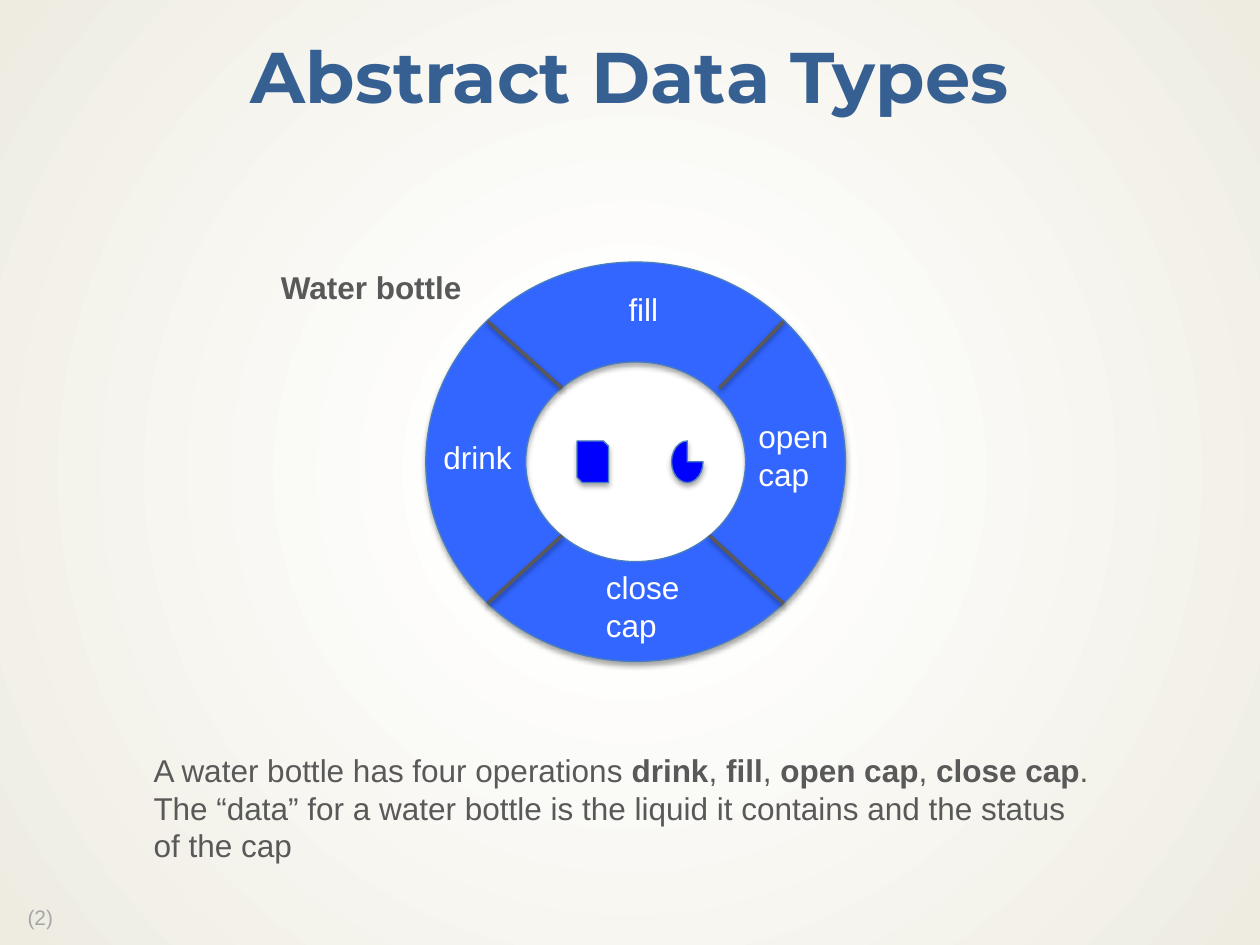
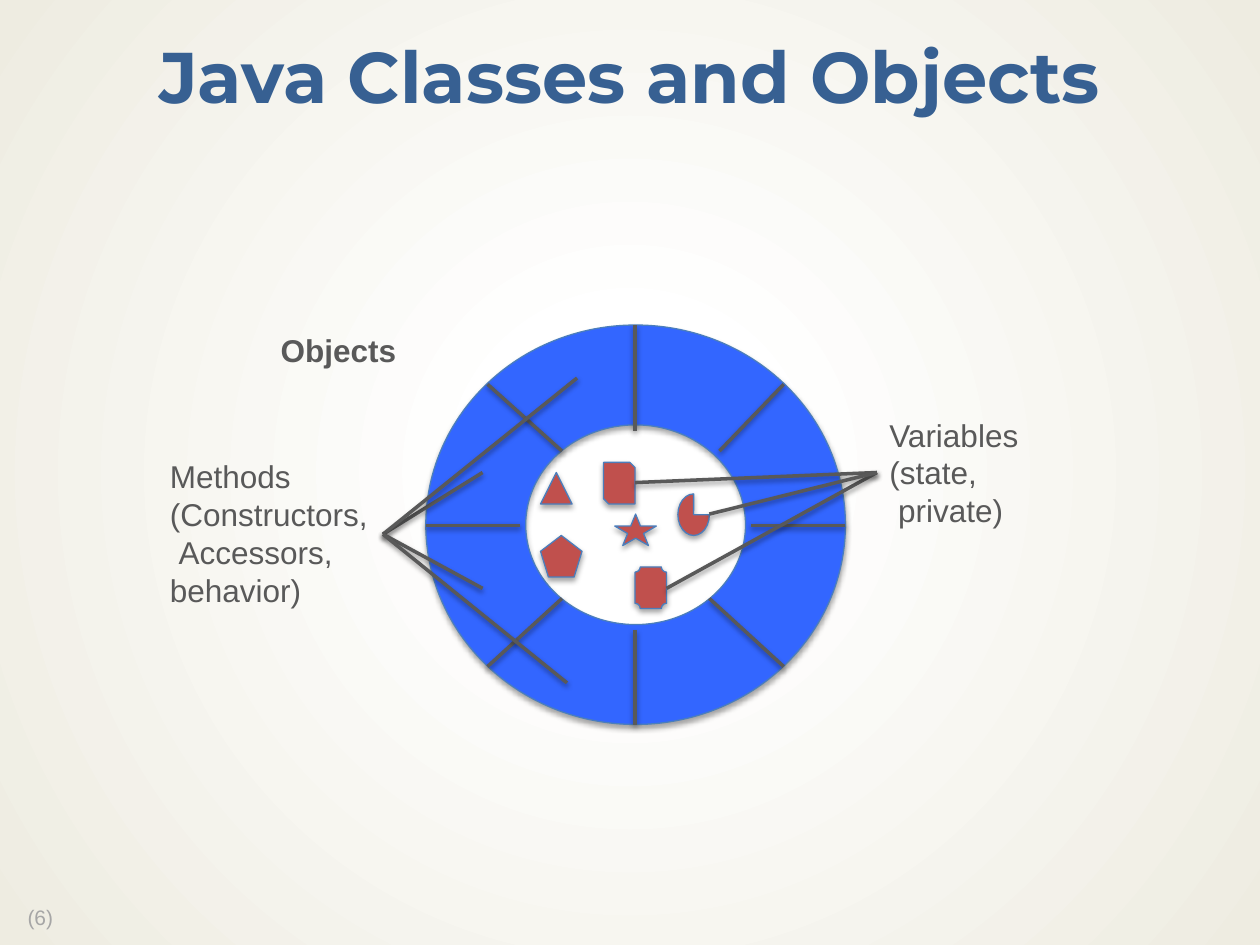
from lxml import etree
from pptx import Presentation
from pptx.dml.color import RGBColor
from pptx.enum.shapes import MSO_CONNECTOR, MSO_SHAPE
from pptx.enum.text import MSO_ANCHOR, MSO_AUTO_SIZE, PP_ALIGN
from pptx.oxml import parse_xml
from pptx.oxml.ns import nsdecls, qn
from pptx.util import Inches, Pt

TITLE, GREY, PALE, WHITE = "376092", "595959", "A6A6A6", "FFFFFF"
RING, EDGE, BLUE, RED = "3366FF", "4B7EBC", "0000FF", "C0504D"
BODY = {"name": "Arial", "size": Pt(18), "bold": False}
SPACE = 0.07

RING_W, RING_H = 3.33, 3.17
DIAGONALS = [
    ((2.84, 0.47), (2.33, 1)),
    ((2.84, 2.71), (2.25, 2.17)),
    ((1.08, 1), (0.49, 0.47)),
    ((1.08, 2.17), (0.49, 2.71)),
]
AXES = [
    ((1.66, 0), (1.66, 0.84)),
    ((RING_W, 1.59), (2.58, 1.59)),
    ((1.66, RING_H), (1.66, 2.42)),
    ((0, 1.59), (0.75, 1.59)),
]
BOTTLE_DATA = [
    (MSO_SHAPE.SNIP_2_DIAG_RECTANGLE, 1.2, 1.42, 0.25, 0.33),
    (MSO_SHAPE.PIE, 1.95, 1.42, 0.25, 0.33),
]
OBJECT_DATA = [
    (MSO_SHAPE.ISOSCELES_TRIANGLE, 0.91, 1.17, 0.25, 0.25),
    (MSO_SHAPE.REGULAR_PENTAGON, 0.91, 1.67, 0.33, 0.33),
    (MSO_SHAPE.SNIP_2_DIAG_RECTANGLE, 1.41, 1.09, 0.25, 0.33),
    (MSO_SHAPE.PIE, 2, 1.34, 0.25, 0.33),
    (MSO_SHAPE.PLAQUE, 1.66, 1.92, 0.25, 0.33),
    (MSO_SHAPE.STAR_5_POINT, 1.5, 1.5, 0.33, 0.25),
]
OPERATIONS = [
    (["drink"], 0.04, 1.35, 0.75),
    (["fill"], 1.51, 0.17, 0.44),
    (["open", "cap"], 2.54, 1.18, 0.76),
    (["close", "cap"], 1.33, 2.38, 0.79),
]
METHOD_ENDS = [(0.45, 1.17), (1.2, 0.42), (0.45, 2.09), (1.12, 2.84)]
VARIABLE_ENDS = [(1.66, 1.25), (1.91, 2.09), (2.25, 1.5)]


def rgb(value):
    """Turn a hex string into a colour."""
    return RGBColor.from_string(value)


def style(target, values):
    """Set each attribute of target named in values."""
    for name, value in values.items():
        setattr(target, name, value)


def add_shadow(sp, blur, dist, alpha):
    """Give a shape or connector a soft shadow straight below."""
    effects = etree.SubElement(sp._element.spPr, qn("a:effectLst"))
    effects.append(parse_xml(
        f'<a:outerShdw {nsdecls("a")} blurRad="{Pt(blur)}" dist="{Pt(dist)}" '
        f'dir="5400000" rotWithShape="0"><a:srgbClr val="000000">'
        f'<a:alpha val="{alpha}000"/></a:srgbClr></a:outerShdw>'))


def add_text(s, lines, x, y, w, color=GREY, font=BODY, indents=(), spacing=None):
    """Write lines in a box, with parts between asterisks in bold."""
    height = 0.1 + 0.3 * len(lines)
    tf = s.shapes.add_textbox(Inches(x), Inches(y), Inches(w), Inches(height)).text_frame
    style(tf, {"word_wrap": False, "auto_size": MSO_AUTO_SIZE.SHAPE_TO_FIT_TEXT})
    for i, line in enumerate(lines):
        p = tf.add_paragraph() if i else tf.paragraphs[0]
        if i in indents:
            p._p.get_or_add_pPr().set("marL", str(Inches(SPACE)))
        if spacing:
            p.line_spacing = spacing
        for j, part in enumerate(line.split("*")):
            if part:
                r = p.add_run()
                r.text = part
                style(r.font, {**font, "bold": j % 2 == 1})
                r.font.color.rgb = rgb(color)


def add_shape(s, kind, x, y, w, h, fill):
    """Draw a filled, outlined and shadowed preset shape."""
    sp = s.shapes.add_shape(kind, Inches(x), Inches(y), Inches(w), Inches(h))
    sp.fill.solid()
    sp.fill.fore_color.rgb = rgb(fill)
    sp.line.color.rgb = rgb(EDGE)
    sp.line.width = Pt(0.75)
    add_shadow(sp, 3.1, 1.8, 35)


def add_lines(s, x, y, pairs):
    """Draw grey lines between pairs of points relative to x, y."""
    for (x1, y1), (x2, y2) in pairs:
        c = s.shapes.add_connector(MSO_CONNECTOR.STRAIGHT, Inches(x + x1), Inches(y + y1),
                                   Inches(x + x2), Inches(y + y2))
        c.line.color.rgb = rgb(GREY)
        c.line.width = Pt(2)
        add_shadow(c, 3.1, 1.6, 38)


def add_ring(s, x, y, name, name_w, spokes, data, color):
    """Draw a named ring split by spokes around its data shapes."""
    add_text(s, [f"*{name}*"], x - 1.25, y, name_w)
    add_shape(s, MSO_SHAPE.DONUT, x, y, RING_W, RING_H, RING)
    add_lines(s, x, y, spokes)
    for kind, dx, dy, w, h in data:
        add_shape(s, kind, x + dx, y + dy, w, h, color)


def add_operations(s, x, y):
    """Label the four ring segments of the water bottle."""
    for lines, dx, dy, w in OPERATIONS:
        add_text(s, lines, x + dx, y + dy, w, WHITE)


def add_callout(s, x, y, lines, box, indents, tip, ends):
    """Place a label beside the ring and fan lines from its tip."""
    dx, dy, w = box
    add_text(s, lines, x + dx, y + dy, w, indents=indents)
    add_lines(s, x, y, [(tip, end) for end in ends])


def set_background(master):
    """Give the master a circular gradient from white to cream."""
    fill = master.background.fill
    fill.gradient()
    old = master._element.find(".//" + qn("p:bgPr")).find(qn("a:gradFill"))
    old.getparent().replace(old, parse_xml(
        f'<a:gradFill {nsdecls("a")} rotWithShape="1"><a:gsLst>'
        '<a:gs pos="18000"><a:srgbClr val="FFFFFF"><a:alpha val="53000"/></a:srgbClr></a:gs>'
        '<a:gs pos="100000"><a:srgbClr val="EEECE1"/></a:gs></a:gsLst>'
        '<a:path path="circle"><a:fillToRect l="50000" t="50000" r="50000" b="50000"/>'
        '</a:path></a:gradFill>'))


def new_slide(prs, title, number):
    """Add a slide with its title and number."""
    s = prs.slides.add_slide(prs.slide_layouts[5])
    sp = s.shapes.title
    style(sp, {"left": Inches(0), "top": Inches(0.17), "width": Inches(10),
               "height": Inches(0.94)})
    tf = sp.text_frame
    style(tf, {"text": title, "word_wrap": True, "auto_size": MSO_AUTO_SIZE.NONE,
               "vertical_anchor": MSO_ANCHOR.MIDDLE,
               "margin_left": Inches(0.13), "margin_right": Inches(0.13),
               "margin_top": Inches(0.06), "margin_bottom": Inches(0.06)})
    p = tf.paragraphs[0]
    style(p, {"alignment": PP_ALIGN.CENTER, "line_spacing": 0.9})
    r = p.runs[0]
    style(r.font, {"name": "Montserrat", "size": Pt(41), "bold": True})
    r.font.color.rgb = rgb(TITLE)
    add_text(s, [f"({number})"], 0.12, 7.15, 0.51, PALE, {**BODY, "size": Pt(12)}, spacing=0.9)
    return s


def bottle_slide(prs, x=3.38, y=2.08):
    """Build the slide on the water bottle as a data type."""
    s = new_slide(prs, "Abstract Data Types", 2)
    add_text(s, [
        "A water bottle has four operations *drink*, *fill*, *open cap*, *close cap*.",
        "The “data” for a water bottle is the liquid it contains and the status",
        "of the cap",
    ], 1.12, 5.91, 7.71)
    add_ring(s, x, y, "Water bottle", 1.65, DIAGONALS, BOTTLE_DATA, BLUE)
    add_operations(s, x, y)


def objects_slide(prs, x=3.38, y=2.58):
    """Build the slide on objects, their methods and variables."""
    s = new_slide(prs, "Java Classes and Objects", 6)
    add_ring(s, x, y, "Objects", 1.13, DIAGONALS + AXES, OBJECT_DATA, RED)
    add_callout(s, x, y, ["Methods", "(Constructors,", "Accessors,", "behavior)"],
                (-2.13, 1, 1.79), [2], (-0.34, 1.66), METHOD_ENDS)
    add_callout(s, x, y, ["Variables", "(state,", "private)"],
                (3.58, 0.67, 1.25), [2], (3.58, 1.17), VARIABLE_ENDS)


def main():
    """Build and save the presentation."""
    prs = Presentation()
    prs.slide_width, prs.slide_height = Inches(10), Inches(7.5)
    set_background(prs.slide_master)
    bottle_slide(prs)
    objects_slide(prs)
    prs.save("out.pptx")


if __name__ == "__main__":
    main()
